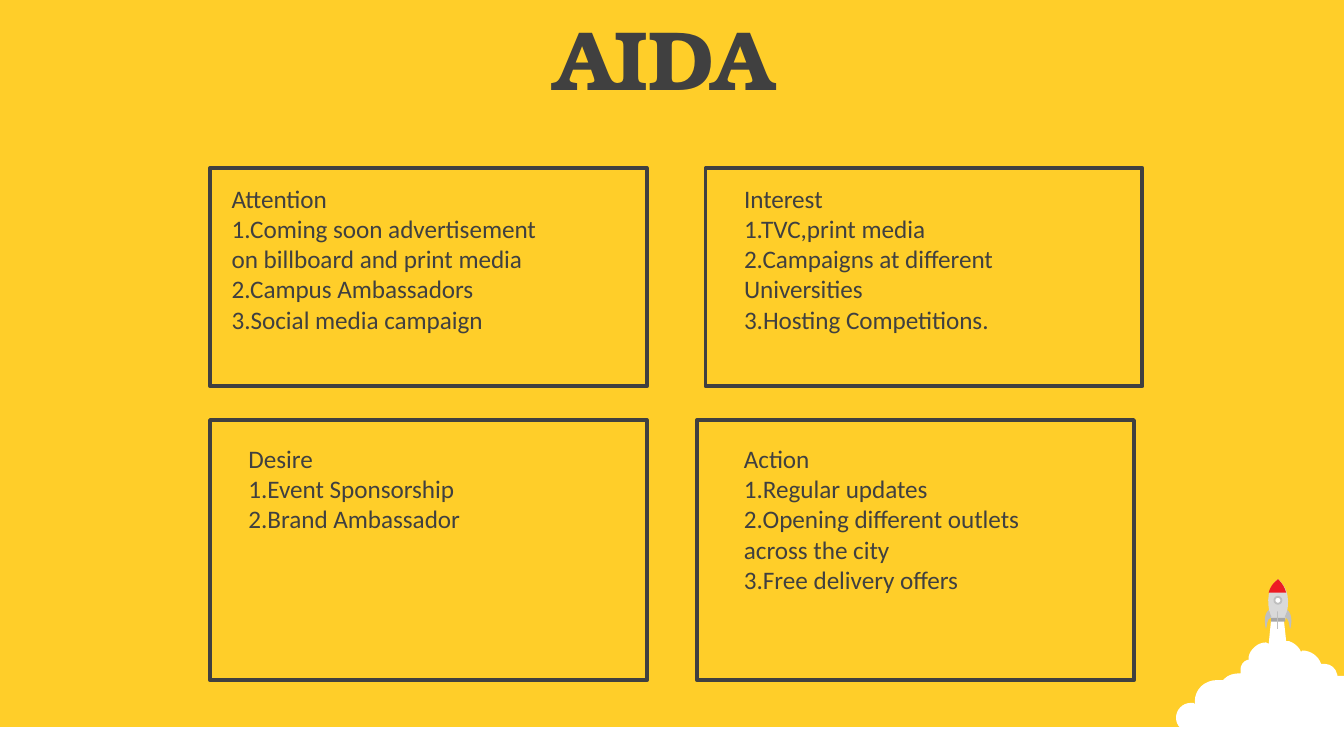
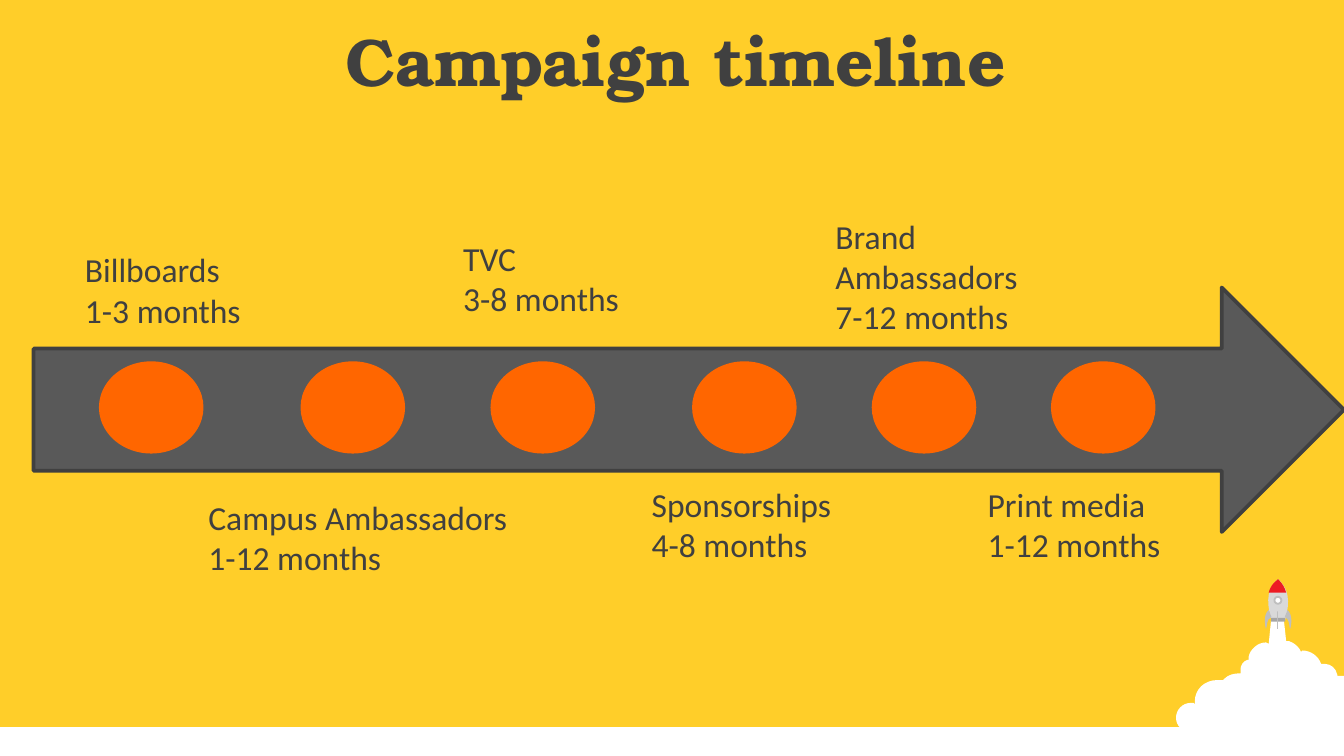
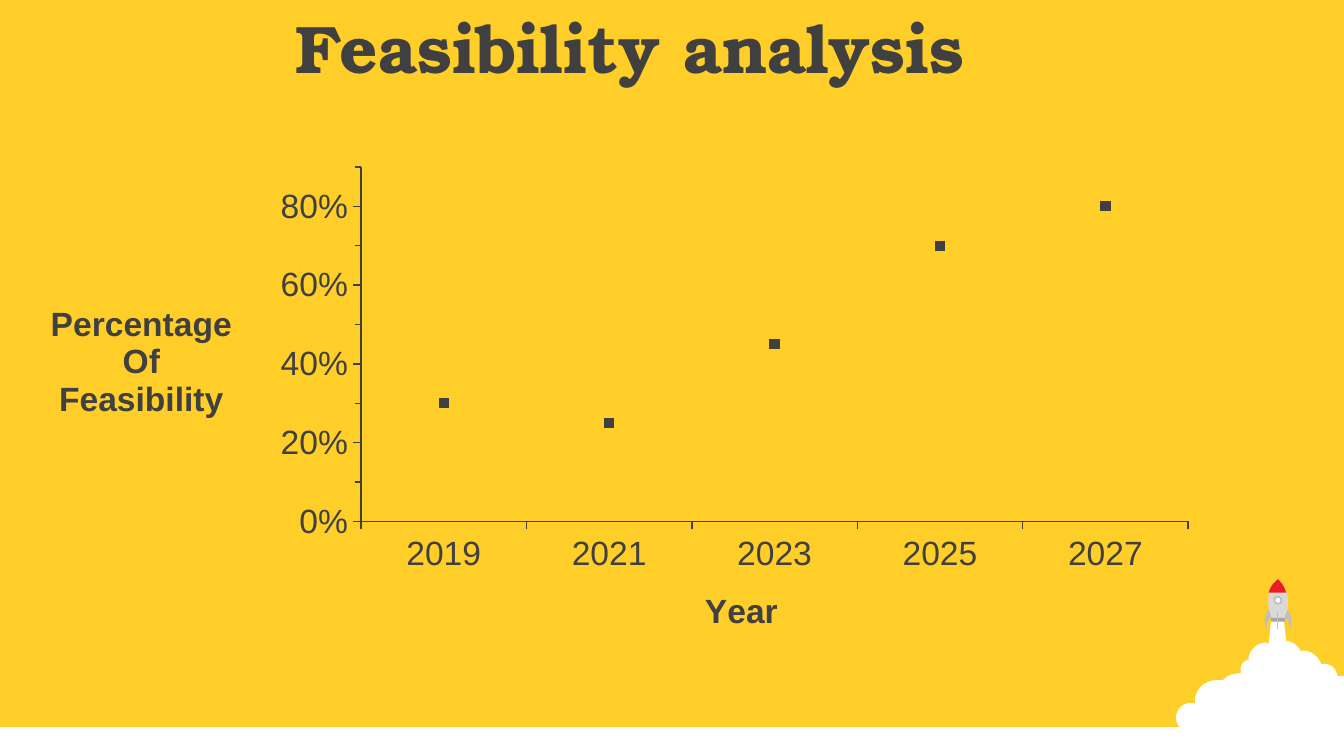
"""Build the three campaign slides: AIDA, timeline and feasibility."""
from pptx import Presentation
from pptx.chart.data import CategoryChartData
from pptx.dml.color import RGBColor
from pptx.enum.chart import XL_CHART_TYPE, XL_MARKER_STYLE, XL_TICK_MARK
from pptx.enum.shapes import MSO_SHAPE
from pptx.enum.text import MSO_ANCHOR, PP_ALIGN
from pptx.oxml.ns import qn
from pptx.oxml.xmlchemy import OxmlElement
from pptx.util import Pt

RECT, OVAL, ARROW = MSO_SHAPE.RECTANGLE, MSO_SHAPE.OVAL, MSO_SHAPE.RIGHT_ARROW
LEFT, CENTER, TOP = PP_ALIGN.LEFT, PP_ALIGN.CENTER, MSO_ANCHOR.TOP
LINE_CHART, SQUARE = XL_CHART_TYPE.LINE_MARKERS, XL_MARKER_STYLE.SQUARE
OUTSIDE = XL_TICK_MARK.OUTSIDE

WIDTH, HEIGHT = 720, 405
YELLOW, DARK, GREY, ORANGE, WHITE = "FFCE29", "404040", "595959", "FF6600", "FFFFFF"
SILVER, STEEL, ASH, RED, AMBER = "D9D9D9", "BFBFBF", "A6A6A6", "ED1C24", "F2BF27"
TITLE_FONT, BODY_FONT, CHART_FONT = "TeX Gyre Bonum", "Calibri", "Arial"

TITLES = [
    ("AIDA", 45, (112.5, 0, 486, 76)),
    ("Campaign timeline", 36, (38.25, 6.75, 648, 66)),
    ("Feasibility analysis", 36, (25.5, 0, 624, 75)),
]

CARD_WIDTH = 234
CARD_ROWS = [
    {"top": 90, "height": 117, "text_top": 94.5, "cards": [
        (112.5, 117, 180, ["Attention",
                           "1.Coming soon advertisement on billboard and print media",
                           "2.Campus Ambassadors", "3.Social media campaign"]),
        (378, 391.5, 207, ["Interest", "1.TVC,print media",
                           "2.Campaigns at different\vUniversities",
                           "3.Hosting Competitions."]),
    ]},
    {"top": 225, "height": 139.5, "text_top": 233.9, "cards": [
        (112.5, 126, 207, ["Desire", "1.Event Sponsorship", "2.Brand Ambassador"]),
        (373.5, 391.5, 193.5, ["Action", "1.Regular updates",
                               "2.Opening different outlets\vacross the city",
                               "3.Free delivery offers"]),
    ]},
]

ARROW_BOX = (18, 154, 702, 131)
DOT_TOP, DOT_WIDTH, DOT_HEIGHT = 194.6, 54, 47.4
MILESTONES = [
    (54, (38.4, 129.9, 132, 51), ["Billboards", "1-3 months"]),
    (162, (104.5, 262.5, 176, 51), ["Campus Ambassadors", "1-12 months"]),
    (263.75, (241, 123.75, 104, 51), ["TVC", "3-8 months"]),
    (371.75, (342, 255.75, 126, 51), ["Sponsorships", "4-8 months"]),
    (468, (440.5, 111.9, 114, 73), ["Brand Ambassadors", "7-12 months"]),
    (564, (522, 255.75, 114, 51), ["Print media", "1-12 months"]),
]

YEARS = ["2019", "2021", "2023", "2025", "2027"]
FEASIBILITY = [
    ("Series 1", YELLOW, [0.3, 0.25, 0.45, 0.7, 0.8]),
    ("Series 2", AMBER, [None] * len(YEARS)),
    ("Series 3", RED, [None] * len(YEARS)),
]
CHART_BOX = (25, 84, 624, 271.5)
PLOT_LAYOUT = {"layoutTarget": "inner", "xMode": "edge", "yMode": "edge",
               "x": 0.27, "y": 0.02, "w": 0.71, "h": 0.7}
AXIS_TITLES = {
    "category_axis": ("Year", {"xMode": "edge", "yMode": "edge", "x": 0.56, "y": 0.84}),
    "value_axis": ("Percentage\nOf\nFeasibility",
                   {"xMode": "edge", "yMode": "edge", "x": 0, "y": 0.28}),
}

ROCKET_UNIT = 0.72
ROCKET_AXIS = 951
CLOUD = [
    (946, 459), (955, 459), (957, 477), (959, 477), (962, 478, 965, 480, 967, 483),
    (968, 485), (969, 484), (975, 484, 981, 488, 983, 494), (986, 494),
    (990, 494, 994, 497, 995, 502), (995, 503), (1000, 503), (1000, 560), (998, 560),
    (994, 560, 990, 559, 987, 557), (986, 556), (985, 557),
    (983, 558, 981, 559, 978, 559), (975, 559, 973, 557, 971, 555), (969, 554),
    (969, 555), (967, 558, 964, 559, 960, 559), (957, 559, 954, 558, 952, 556),
    (951, 555), (949, 556), (945, 559, 940, 561, 934, 561),
    (923, 561, 917, 556, 913, 551), (911, 553, 907, 554, 904, 553),
    (900, 552, 894, 550, 893, 545), (893, 543), (892, 544),
    (891, 545, 889, 545, 886, 545), (880, 545, 875, 540, 875, 534),
    (875, 528, 880, 523, 886, 523), (888, 523), (889, 524), (889, 522),
    (889, 513, 896, 506, 906, 506), (910, 506), (911, 505),
    (914, 502, 918, 501, 923, 501), (923, 498), (923, 495, 925, 492, 928, 491),
    (929, 491), (929, 489), (930, 483, 936, 478, 942, 478), (944, 479),
]
HULL = [(946, 462), (944, 453, 940, 440, 951, 431), (962, 441, 958, 454, 956, 462)]
NOSE = [(951, 431), (954, 434, 956, 437, 957, 441), (944, 441),
        (945, 437, 947, 434, 951, 431)]
FIN = [(944, 454), (946, 459), (942, 461, 943, 466, 942, 468),
       (941, 465, 940, 457, 944, 454)]
OTHER_FIN = [tuple(2 * ROCKET_AXIS - n if i % 2 == 0 else n for i, n in enumerate(step))
             for step in FIN]
ROCKET_OUTLINES = [(CLOUD, WHITE), (HULL, SILVER), (NOSE, RED),
                   (FIN, STEEL), (OTHER_FIN, STEEL)]
ROCKET_PRESETS = [
    (RECT, (681, 331, 7.5, 2), ASH, None, 0),
    (OVAL, (682.75, 319.75, 3.75, 3.75), WHITE, STEEL, 1),
    (RECT, (684.25, 327.5, 0.4, 9.5), STEEL, None, 0),
]


def rgb(code):
    """Turn a hex string into a colour."""
    return RGBColor.from_string(code)


def assign(target, formats):
    """Set every attribute in a dict of format values."""
    for attribute, value in formats.items():
        setattr(target, attribute, value)


def style_font(font, family, size, colour, bold=False):
    """Give a font its family, size, colour and weight."""
    assign(font, {"name": family, "size": Pt(size), "bold": bold})
    font.color.rgb = rgb(colour)


def paint(shape, fill, line=None, line_width=0):
    """Set fill and outline and drop the shadow."""
    shape.shadow.inherit = False
    if fill:
        shape.fill.solid()
        shape.fill.fore_color.rgb = rgb(fill)
    else:
        shape.fill.background()
    if line:
        shape.line.color.rgb = rgb(line)
        shape.line.width = Pt(line_width)
    else:
        shape.line.fill.background()


def add_preset(shapes, kind, box, fill, line=None, line_width=0):
    """Add a painted preset shape."""
    paint(shapes.add_shape(kind, *map(Pt, box)), fill, line, line_width)


def add_text(slide, box, lines, family, size, align=LEFT, bold=False):
    """Add a wrapping text box with one paragraph per line."""
    frame = slide.shapes.add_textbox(*map(Pt, box)).text_frame
    assign(frame, {"word_wrap": True, "vertical_anchor": TOP, "text": "\n".join(lines)})
    for paragraph in frame.paragraphs:
        paragraph.alignment = align
        style_font(paragraph.font, family, size, DARK, bold)
        for run in paragraph.runs:
            style_font(run.font, family, size, DARK, bold)


def trace(steps, pieces=8):
    """Flatten lines and cubic curves into points."""
    points = [steps[0]]
    for step in steps[1:]:
        if len(step) == 2:
            points.append(step)
            continue
        corners = [points[-1], step[:2], step[2:4], step[4:]]
        for piece in range(1, pieces + 1):
            t = piece / pieces
            weights = ((1 - t) ** 3, 3 * t * (1 - t) ** 2, 3 * t * t * (1 - t), t ** 3)
            points.append(tuple(sum(w * corner[i] for w, corner in zip(weights, corners))
                                for i in (0, 1)))
    return [tuple(Pt(n * ROCKET_UNIT) for n in point) for point in points]


def add_outline(shapes, steps, fill):
    """Add a freeform sized by its traced points and drawn with true curves."""
    start, *rest = trace(steps)
    builder = shapes.build_freeform(*start)
    builder.add_line_segments(rest, close=True)
    shape = builder.convert_to_shape()
    paint(shape, fill)
    outline = shape._element.find(".//" + qn("a:path"))
    for segment in list(outline):
        outline.remove(segment)
    for index, step in enumerate(steps):
        tag = "cubicBezTo" if len(step) == 6 else "lnTo" if index else "moveTo"
        segment = OxmlElement(f"a:{tag}")
        for x, y in zip(step[::2], step[1::2]):
            point = OxmlElement("a:pt")
            point.set("x", str(Pt(x * ROCKET_UNIT) - shape.left))
            point.set("y", str(Pt(y * ROCKET_UNIT) - shape.top))
            segment.append(point)
        outline.append(segment)
    outline.append(OxmlElement("a:close"))


def add_rocket(slide):
    """Draw the rocket rising from its cloud."""
    shapes = slide.shapes.add_group_shape().shapes
    for steps, fill in ROCKET_OUTLINES:
        add_outline(shapes, steps, fill)
    for preset in ROCKET_PRESETS:
        add_preset(shapes, *preset)


def add_base(prs, title, size, box):
    """Add a slide with its band, rocket and title."""
    slide = prs.slides.add_slide(prs.slide_layouts[6])
    add_preset(slide.shapes, RECT, (0, 389.5, WIDTH, HEIGHT - 389.5), WHITE)
    add_rocket(slide)
    add_text(slide, box, [title], TITLE_FONT, size, CENTER, True)
    return slide


def add_cards(slide):
    """Draw the four AIDA cards."""
    for row in CARD_ROWS:
        for left, text_left, text_width, lines in row["cards"]:
            add_preset(slide.shapes, RECT, (left, row["top"], CARD_WIDTH, row["height"]),
                       None, DARK, 2)
            add_text(slide, (text_left, row["text_top"], text_width, 90), lines,
                     BODY_FONT, 13.5)


def add_timeline(slide):
    """Draw the arrow with its milestones."""
    add_preset(slide.shapes, ARROW, ARROW_BOX, GREY, DARK, 2)
    for dot_left, label_box, lines in MILESTONES:
        add_preset(slide.shapes, OVAL, (dot_left, DOT_TOP, DOT_WIDTH, DOT_HEIGHT),
                   ORANGE, ORANGE, 2)
        add_text(slide, label_box, lines, BODY_FONT, 18)


def place(parent, values):
    """Give a chart part a manual layout."""
    layout = parent.find(qn("c:layout"))
    if layout is None:
        layout = OxmlElement("c:layout")
        parent.insert(0, layout)
    manual = OxmlElement("c:manualLayout")
    for tag, value in values.items():
        entry = OxmlElement(f"c:{tag}")
        entry.set("val", str(value))
        manual.append(entry)
    layout.append(manual)


def style_series(series, colour, values):
    """Colour a line and darken the markers of its filled points."""
    series.smooth = False
    series.format.line.color.rgb = rgb(colour)
    series.format.line.width = Pt(2.25)
    assign(series.marker, {"style": SQUARE, "size": 5})
    for index, value in enumerate(values):
        if value is not None:
            point = series.points[index]
            assign(point.marker, {"style": SQUARE, "size": 5})
            point.marker.format.fill.solid()
            point.marker.format.fill.fore_color.rgb = rgb(DARK)
            point.marker.format.line.color.rgb = rgb(DARK)
            point.format.line.color.rgb = rgb(DARK)


def add_feasibility(slide):
    """Draw the feasibility line chart."""
    data = CategoryChartData(number_format="0%")
    data.categories = YEARS
    for name, _, values in FEASIBILITY:
        data.add_series(name, values)
    chart = slide.shapes.add_chart(LINE_CHART, *map(Pt, CHART_BOX), data).chart
    assign(chart, {"has_legend": False, "has_title": False})
    style_font(chart.font, CHART_FONT, 18, DARK)
    plot = chart.plots[0]
    plot.vary_by_categories = False
    place(plot._element.getparent(), PLOT_LAYOUT)
    for series, (_, colour, values) in zip(plot.series, FEASIBILITY):
        style_series(series, colour, values)

    assign(chart.value_axis, {"minimum_scale": 0, "maximum_scale": 0.9, "major_unit": 0.2,
                              "minor_unit": 0.1, "minor_tick_mark": OUTSIDE})
    assign(chart.value_axis.tick_labels,
           {"number_format": "0%", "number_format_is_linked": False})
    for axis_name, (title, layout) in AXIS_TITLES.items():
        axis = getattr(chart, axis_name)
        assign(axis, {"has_major_gridlines": False, "major_tick_mark": OUTSIDE,
                      "has_title": True})
        axis.format.line.color.rgb = rgb(DARK)
        axis.format.line.width = Pt(0.75)
        style_font(axis.tick_labels.font, CHART_FONT, 18, DARK)
        frame = axis.axis_title.text_frame
        frame.text = title
        for paragraph in frame.paragraphs:
            style_font(paragraph.runs[0].font, CHART_FONT, 18, DARK, True)
        heading = axis.axis_title._element
        heading.find(".//" + qn("a:bodyPr")).set("rot", "0")
        place(heading, layout)


def main():
    """Build and save the deck."""
    prs = Presentation()
    assign(prs, {"slide_width": Pt(WIDTH), "slide_height": Pt(HEIGHT)})
    backdrop = prs.slide_master.background.fill
    backdrop.solid()
    backdrop.fore_color.rgb = rgb(YELLOW)
    for title, fill_slide in zip(TITLES, (add_cards, add_timeline, add_feasibility)):
        fill_slide(add_base(prs, *title))
    prs.save("out.pptx")


if __name__ == "__main__":
    main()
